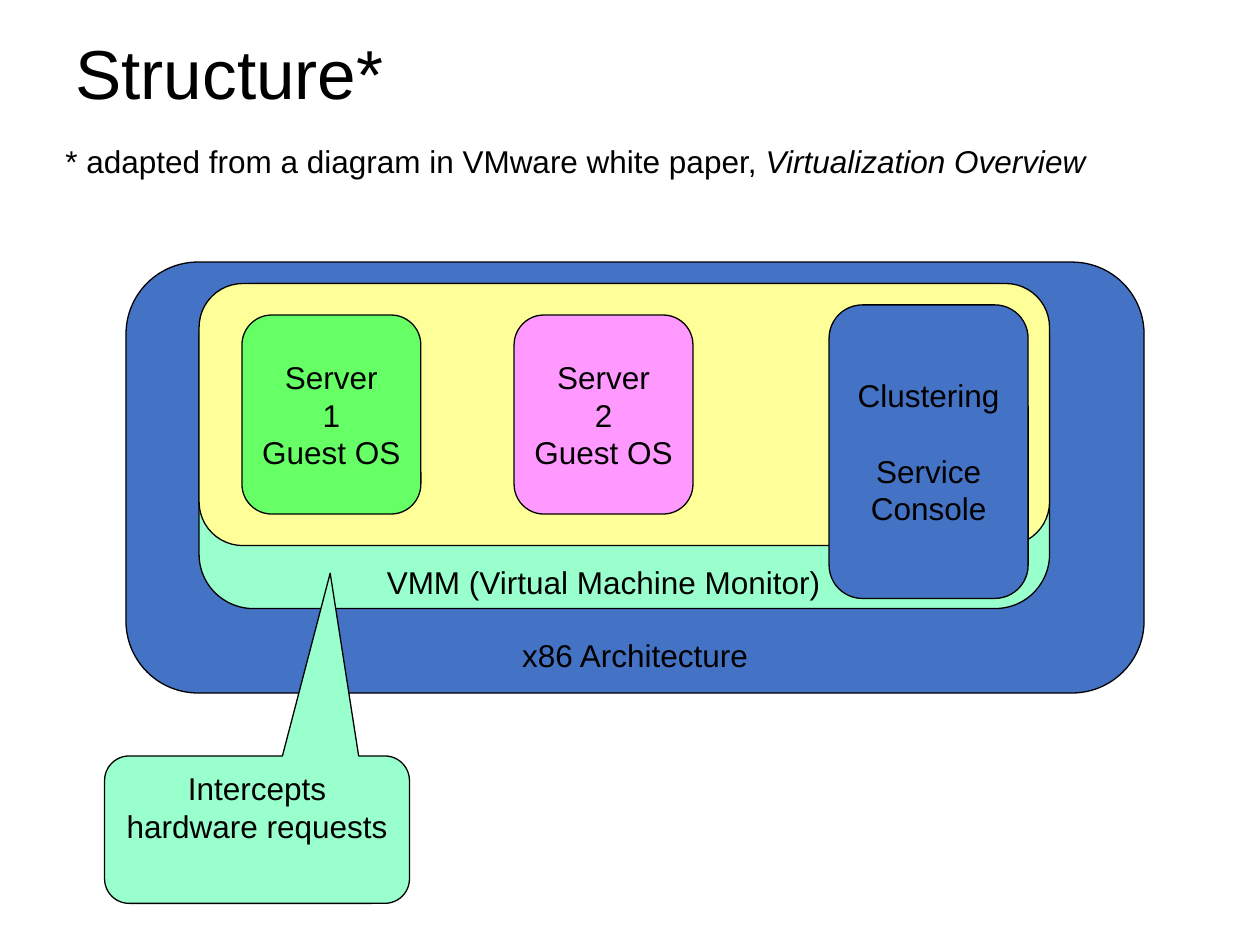
"""Build a slide showing the layered structure of a virtualized server."""
from dataclasses import dataclass
from typing import Any

from pptx import Presentation
from pptx.dml.color import RGBColor
from pptx.enum.shapes import MSO_SHAPE
from pptx.enum.text import MSO_ANCHOR, PP_ALIGN
from pptx.util import Inches, Pt

BLACK, BLUE, MINT = "000000", "4472C4", "99FFCC"
CORNER = 0.167


@dataclass
class Block:
    left: float
    top: float
    width: float
    height: float
    fill: str
    lines: tuple[str, ...] = ()
    wrap: bool = True
    gap: float = 0
    anchor: Any = MSO_ANCHOR.MIDDLE
    kind: Any = MSO_SHAPE.ROUNDED_RECTANGLE
    adjustments: tuple[float, ...] = (CORNER,)


@dataclass
class Label:
    left: float
    top: float
    width: float
    height: float
    text: str
    emphasis: str = ""
    size: float = 18
    align: Any = PP_ALIGN.LEFT
    anchor: Any = MSO_ANCHOR.TOP
    spacing: float = 1.0


def color(value: str) -> RGBColor:
    return RGBColor.from_string(value)


def add_run(paragraph: Any, text: str, size: float = 18, italic: bool = False) -> None:
    run = paragraph.add_run()
    run.text = text
    font_format = {"name": "Arial", "size": Pt(size), "italic": italic}
    for attribute, value in font_format.items():
        setattr(run.font, attribute, value)
    run.font.color.rgb = color(BLACK)


def add_block(slide: Any, block: Block) -> None:
    shape = slide.shapes.add_shape(
        block.kind, Inches(block.left), Inches(block.top),
        Inches(block.width), Inches(block.height))
    for index, value in enumerate(block.adjustments):
        shape.adjustments[index] = value
    shape.shadow.inherit = False
    shape.fill.solid()
    shape.fill.fore_color.rgb = color(block.fill)
    shape.line.color.rgb = color(BLACK)
    shape.line.width = Pt(0.75)
    frame = shape.text_frame
    frame.word_wrap = block.wrap
    frame.vertical_anchor = block.anchor
    for index, line in enumerate(block.lines):
        paragraph = frame.add_paragraph() if index else frame.paragraphs[0]
        paragraph.alignment = PP_ALIGN.CENTER
        if index and block.gap:
            paragraph.space_before = Pt(block.gap)
        add_run(paragraph, line)


def add_label(slide: Any, label: Label) -> None:
    frame = slide.shapes.add_textbox(
        Inches(label.left), Inches(label.top),
        Inches(label.width), Inches(label.height)).text_frame
    frame.word_wrap = True
    frame.vertical_anchor = label.anchor
    paragraph = frame.paragraphs[0]
    paragraph.alignment = label.align
    paragraph.line_spacing = label.spacing
    add_run(paragraph, label.text, label.size)
    if label.emphasis:
        add_run(paragraph, label.emphasis, label.size, italic=True)


def server(number: int, left: float, fill: str) -> Block:
    return Block(left, 2.5, 1.42, 1.58, fill,
                 ("Server", str(number), "Guest OS"), wrap=False)


def main() -> None:
    presentation = Presentation()
    presentation.slide_width = Inches(10)
    presentation.slide_height = Inches(7.5)
    slide = presentation.slides.add_slide(presentation.slide_layouts[6])

    parts = [
        Label(0.5, 0.25, 8.08, 0.72, "Structure*", size=39.6,
              anchor=MSO_ANCHOR.MIDDLE, spacing=0.9),
        Label(0.42, 1.08, 8.97, 0.4,
              "* adapted from a diagram in VMware white paper, ",
              "Virtualization Overview"),
        Block(1, 2.08, 8.08, 3.42, BLUE),
        Label(2, 5, 6.08, 0.4, "x86 Architecture", align=PP_ALIGN.CENTER),
        Block(1.58, 2.25, 6.75, 2.58, MINT),
        Block(1.58, 2.25, 6.75, 2.08, "FFFF99"),
        Label(1.75, 4.42, 6.08, 0.4, "VMM (Virtual Machine Monitor)",
              align=PP_ALIGN.CENTER),
        server(1, 1.92, "66FF66"),
        server(2, 4.08, "FF99FF"),
        Block(6.58, 2.42, 1.58, 2.33, BLUE,
              ("Clustering", "Service Console"), gap=21.5),
        Block(0.83, 6, 2.42, 1.17, MINT, ("Intercepts hardware requests",),
              anchor=MSO_ANCHOR.TOP, kind=MSO_SHAPE.ROUNDED_RECTANGULAR_CALLOUT,
              adjustments=(0.24, -1.74, CORNER)),
    ]
    for part in parts:
        if isinstance(part, Block):
            add_block(slide, part)
        else:
            add_label(slide, part)
    presentation.save("out.pptx")


if __name__ == "__main__":
    main()
